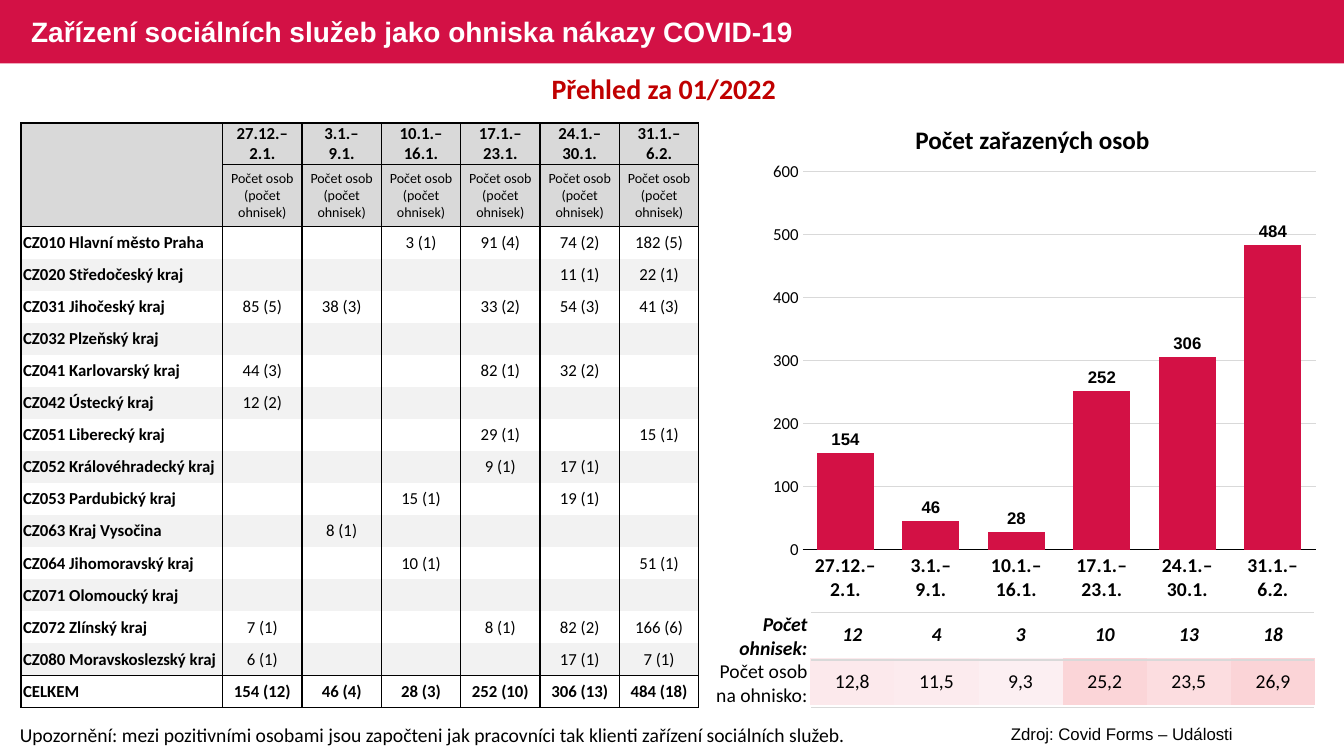
from copy import deepcopy

from pptx import Presentation
from pptx.chart.data import CategoryChartData
from pptx.dml.color import RGBColor
from pptx.enum.chart import XL_CHART_TYPE, XL_LABEL_POSITION, XL_TICK_MARK
from pptx.enum.shapes import MSO_SHAPE
from pptx.enum.text import MSO_ANCHOR, PP_ALIGN
from pptx.oxml import parse_xml
from pptx.oxml.ns import nsdecls
from pptx.util import Cm, Pt

RECT = MSO_SHAPE.RECTANGLE
COLUMN = XL_CHART_TYPE.COLUMN_CLUSTERED
ABOVE = XL_LABEL_POSITION.OUTSIDE_END
NO_TICK = XL_TICK_MARK.NONE
MIDDLE = MSO_ANCHOR.MIDDLE
LEFT, CENTER, RIGHT = PP_ALIGN.LEFT, PP_ALIGN.CENTER, PP_ALIGN.RIGHT

INK = {"red": "D31145", "dark": "C00000", "black": "000000", "white": "FFFFFF",
       "head": "D9D9D9", "band": "F2F2F2"}
PLAIN_GRID = "{2D5ABB26-0587-4C30-8999-92F81FD0307C}"

WEEKS = ["27.12.–\v2.1.", "3.1.–\v9.1.", "10.1.–\v16.1.",
         "17.1.–\v23.1.", "24.1.–\v30.1.", "31.1.–\v6.2."]
PEOPLE = [154, 46, 28, 252, 306, 484]
REGIONS = """CZ010 Hlavní město Praha|||3 (1)|91 (4)|74 (2)|182 (5)
CZ020 Středočeský kraj|||||11 (1)|22 (1)
CZ031 Jihočeský kraj|85 (5)|38 (3)||33 (2)|54 (3)|41 (3)
CZ032 Plzeňský kraj||||||
CZ041 Karlovarský kraj|44 (3)|||82 (1)|32 (2)|
CZ042 Ústecký kraj|12 (2)|||||
CZ051 Liberecký kraj||||29 (1)||15 (1)
CZ052 Královéhradecký kraj||||9 (1)|17 (1)|
CZ053 Pardubický kraj|||15 (1)||19 (1)|
CZ063 Kraj Vysočina||8 (1)||||
CZ064 Jihomoravský kraj|||10 (1)|||51 (1)
CZ071 Olomoucký kraj||||||
CZ072 Zlínský kraj|7 (1)|||8 (1)|82 (2)|166 (6)
CZ080 Moravskoslezský kraj|6 (1)||||17 (1)|7 (1)
CELKEM|154 (12)|46 (4)|28 (3)|252 (10)|306 (13)|484 (18)"""
COUNTS = ["12", "4", "3", "10", "13", "18"]
RATES = ["12,8", "11,5", "9,3", "25,2", "23,5", "26,9"]
TINTS = ["FCE9EC", "FCEBEE", "FCEFF2", "FBD5D8", "FCDDE0", "FBD4D7"]


def rgb(ink):
    return RGBColor.from_string(INK.get(ink, ink))


def dress(font, size, ink="black", **form):
    font.size = Pt(size)
    font.color.rgb = rgb(ink)
    for key, value in {"name": "Calibri", "bold": False, **form}.items():
        setattr(font, key, value)


def write(frame, text, size, align=LEFT, **form):
    """Fill a text frame with one paragraph in one format."""
    para = frame.paragraphs[0]
    para.text = text
    para.alignment = align
    for run in para.runs or [para.add_run()]:
        dress(run.font, size, **form)
    for gap in para._p.findall("a:br", para._p.nsmap):
        gap.insert(0, deepcopy(para.runs[0]._r.rPr))
    return para


def add_text(slide, area, text, size, align=LEFT, **form):
    frame = slide.shapes.add_textbox(*map(Cm, area)).text_frame
    frame.word_wrap = True
    write(frame, text, size, align, **form)


def add_bar(slide):
    bar = slide.shapes.add_shape(RECT, 0, 0, Cm(33.87), Cm(1.6))
    bar.shadow.inherit = False
    bar.fill.solid()
    bar.fill.fore_color.rgb = rgb("red")
    bar.line.fill.background()
    slide.shapes._spTree.insert(2, bar._element)


def add_title(slide, text):
    title = slide.shapes.title
    place = {"left": 0.53, "top": 0.05, "width": 20.65, "height": 1.6}
    for key, value in place.items():
        setattr(title, key, Cm(value))
    title.text_frame.vertical_anchor = MIDDLE
    para = write(title.text_frame, text, 20, ink="white", name="Arial", bold=True)
    para.line_spacing = 0.9


def add_grid(slide, left, top, cols, rows):
    area = map(Cm, (left, top, sum(cols), sum(rows)))
    grid = slide.shapes.add_table(len(rows), len(cols), *area).table
    grid.first_row = grid.horz_banding = False
    grid._tbl.tblPr[0].text = PLAIN_GRID
    for col, width in zip(grid.columns, cols):
        col.width = Cm(width)
    for row, height in zip(grid.rows, rows):
        row.height = Cm(height)
    return grid


def set_cell(cell, text, size, align=CENTER, fill=None, edges=None, pads=(0.03, 0.03), **form):
    """Write a cell; edges maps L, R, T, B to a colour and a width."""
    sides = {"margin_left": pads[0], "margin_right": pads[1],
             "margin_top": 0, "margin_bottom": 0}
    for key, value in sides.items():
        setattr(cell, key, Cm(value))
    cell.vertical_anchor = MIDDLE
    write(cell.text_frame, text, size, align, **form)
    if fill:
        cell.fill.solid()
        cell.fill.fore_color.rgb = rgb(fill)
    else:
        cell.fill.background()
    for spot, side in enumerate("LRTB"):
        ink, width = (edges or {}).get(side, (None, 0))
        paint = (f'<a:solidFill><a:srgbClr val="{INK[ink]}"/></a:solidFill>'
                 if ink else "<a:noFill/>")
        line = parse_xml(f'<a:ln{side} {nsdecls("a")} w="{Pt(width)}">{paint}</a:ln{side}>')
        cell._tc.get_or_add_tcPr().insert(spot, line)


def add_regions(slide):
    rows = [line.split("|") for line in REGIONS.split("\n")]
    heights = [1.04, 1.57] + [12.12 / len(rows)] * len(rows)
    grid = add_grid(slide, 0.53, 3.1, [5.08] + [2] * 6, heights)
    thick, thin = ("black", 1), ("black", 0.5)
    sides = {"L": thick, "R": thick}
    grid.cell(0, 0).merge(grid.cell(1, 0))
    for c, week in enumerate([""] + WEEKS):
        note = "Počet osob (počet ohnisek)" if c else ""
        above, below = ({"T": thick}, {"B": thick}) if c else ({}, {})
        set_cell(grid.cell(0, c), week, 12, fill="head", bold=True,
                 edges={**sides, "T": thick, **below})
        set_cell(grid.cell(1, c), note, 10, fill="head",
                 edges={**sides, **above, "B": thin})
    last = len(rows) - 1
    for r, row in enumerate(rows):
        edges = dict(sides)
        if r in (0, last):
            edges["T"] = thick if r else thin
        if r >= last - 1:
            edges["B"] = thick
        for c, text in enumerate(row):
            set_cell(grid.cell(r + 2, c), text, 12, CENTER if c else LEFT,
                     fill="band" if r % 2 else None, edges=edges,
                     pads=(0.03, 0.03) if c else (0.05, 0.05),
                     bold=c == 0 or r == last)


def add_rates(slide):
    grid = add_grid(slide, 20.42, 15.39, [2.12] * 6, [1.19] * 2)
    names = add_grid(slide, 17.88, 15.44, [2.57] + [1.81] * 7, [1.19] * 2)
    rule = {"T": ("head", 1), "B": ("head", 1)}
    rows = [("Počet ohnisek:", COUNTS, [None] * 6, True),
            ("Počet osob na ohnisko:", RATES, TINTS, False)]
    for r, (name, values, fills, strong) in enumerate(rows):
        form = {"bold": strong, "italic": strong}
        set_cell(names.cell(r, 0), name, 14, RIGHT, pads=(0.03, 0.1), **form)
        for c in range(1, 8):
            set_cell(names.cell(r, c), "", 14, edges=rule)
        for c, (value, fill) in enumerate(zip(values, fills)):
            set_cell(grid.cell(r, c), value, 14, fill=fill, **form)


def add_columns(slide):
    data = CategoryChartData()
    data.categories = [week.replace("\v", "\n") for week in WEEKS]
    data.add_series("Series 1", PEOPLE)
    area = map(Cm, (19.2, 3.84, 14.24, 11.56))
    chart = slide.shapes.add_chart(COLUMN, *area, data).chart
    chart.has_legend = chart.has_title = False
    dress(chart.font, 14, name="Arial", bold=True)
    plot = chart.plots[0]
    plot.gap_width = 50
    plot.vary_by_categories = False
    fill = plot.series[0].format.fill
    fill.solid()
    fill.fore_color.rgb = rgb("red")
    plot.has_data_labels = True
    labels = plot.data_labels
    labels.show_value = True
    labels.position = ABOVE
    dress(labels.font, 12, name="Arial", bold=True)
    weeks, scale = chart.category_axis, chart.value_axis
    for axis, size, strong in ((weeks, 14, True), (scale, 12, False)):
        axis.major_tick_mark = axis.minor_tick_mark = NO_TICK
        dress(axis.tick_labels.font, size, bold=strong)
    for key, value in {"minimum_scale": 0, "maximum_scale": 600, "major_unit": 100}.items():
        setattr(scale, key, value)
    scale.format.line.fill.background()
    for line, ink in ((weeks.format.line, "black"),
                      (scale.major_gridlines.format.line, "head")):
        line.color.rgb = rgb(ink)
        line.width = Pt(0.75)


def main():
    deck = Presentation()
    deck.slide_width, deck.slide_height = Cm(33.87), Cm(19.05)
    slide = deck.slides.add_slide(deck.slide_layouts[5])
    add_bar(slide)
    add_title(slide, "Zařízení sociálních služeb jako ohniska nákazy COVID-19")
    add_text(slide, (0.53, 1.68, 32.56, 1.11), "Přehled za 01/2022 ", 20, CENTER,
             ink="dark", bold=True)
    add_regions(slide)
    add_columns(slide)
    add_text(slide, (19.2, 3.02, 13.64, 1.03), "Počet zařazených osob", 18, CENTER, bold=True)
    add_rates(slide)
    add_text(slide, (0.25, 18.08, 21.64, 0.85),
             "Upozornění: mezi pozitivními osobami jsou započteni jak pracovníci "
             "tak klienti zařízení sociálních služeb.", 14)
    add_text(slide, (22.94, 18.11, 10.67, 0.77), "Zdroj: Covid Forms – Události", 12,
             CENTER, name="Arial")
    deck.save("out.pptx")


if __name__ == "__main__":
    main()
